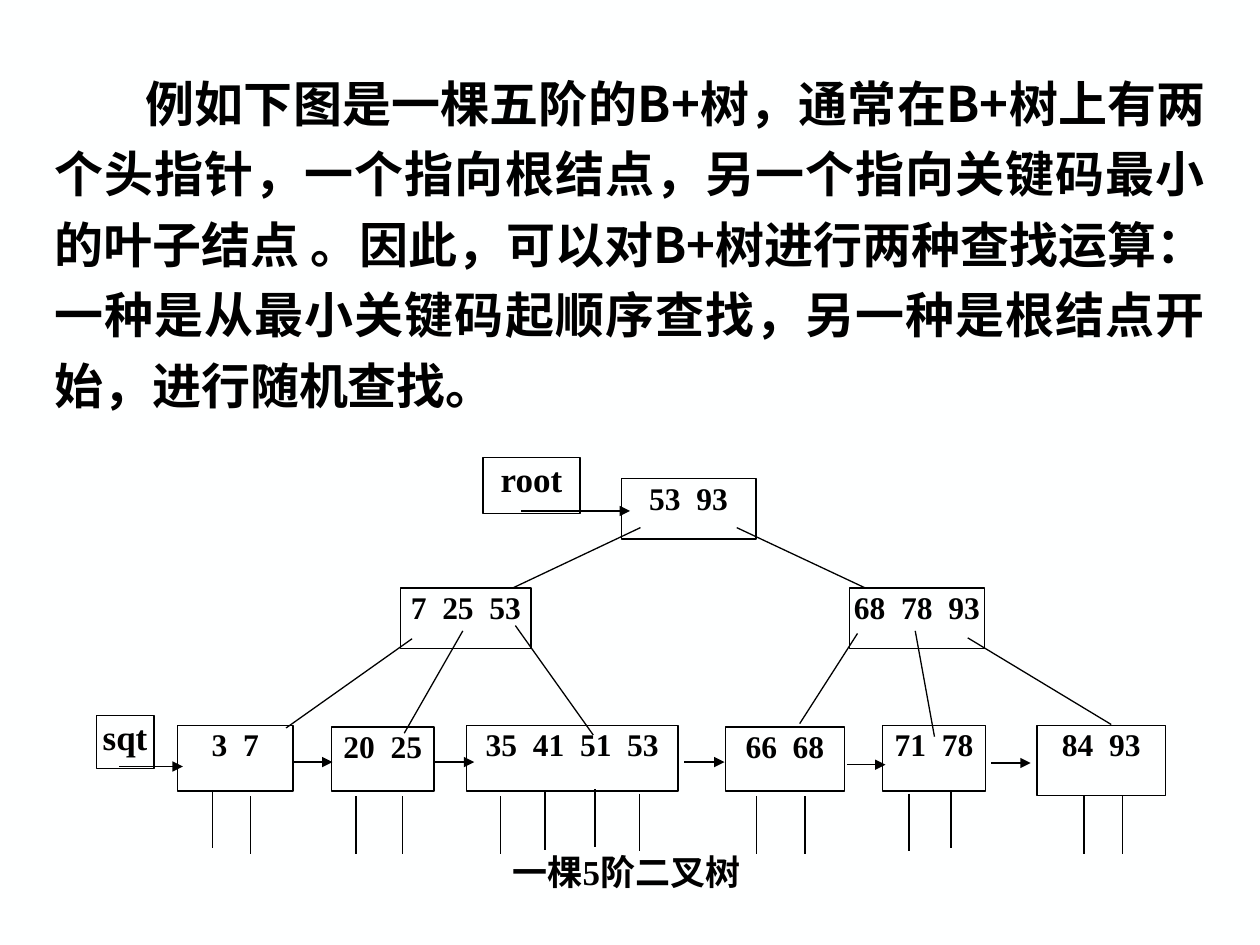
import pptx
import pptx.dml.color
import pptx.enum.shapes
import pptx.enum.text
import pptx.oxml
import pptx.oxml.ns
import pptx.util

Pt = pptx.util.Pt
ALIGN = pptx.enum.text.PP_ALIGN
COLORS = {"paper": "FEFFFF", "ink": "000000"}
SERIF = "Times New Roman"
SANS = "Noto Sans CJK SC"


def rgb(name):
    return pptx.dml.color.RGBColor.from_string(COLORS[name])


def write_text(frame, text, size=18, font=SERIF, align=ALIGN.CENTER,
               spacing=None, indent=0, insets=(0, 0, 0, 0), wrap=True):
    frame.word_wrap = wrap
    frame.vertical_anchor = pptx.enum.text.MSO_ANCHOR.TOP
    (frame.margin_left, frame.margin_top,
     frame.margin_right, frame.margin_bottom) = map(Pt, insets)
    para = frame.paragraphs[0]
    para.alignment = align
    if spacing:
        para.line_spacing = spacing
    if indent:
        para._p.get_or_add_pPr().set("indent", str(Pt(indent)))
    span = para.add_run()
    span.text = text
    span.font.size = Pt(size)
    span.font.bold = True
    span.font.name = font
    span.font.color.rgb = rgb("ink")
    east = pptx.oxml.parse_xml(
        f'<a:ea {pptx.oxml.ns.nsdecls("a")} typeface="{SANS}"/>')
    span.font._element.append(east)


class TreePage:
    line_width = Pt(0.75)
    text_insets = (7.2, 3.6, 7.2, 3.6)

    def __init__(self, deck):
        self.page = deck.slides.add_slide(deck.slide_layouts[6])
        fill = self.page.background.fill
        fill.solid()
        fill.fore_color.rgb = rgb("paper")

    def text(self, text, left, top, width, height, **style):
        box = self.page.shapes.add_textbox(*map(Pt, (left, top, width, height)))
        write_text(box.text_frame, text, insets=self.text_insets, **style)

    def node(self, text, left, top, width, height, **style):
        box = self.page.shapes.add_shape(
            pptx.enum.shapes.MSO_SHAPE.RECTANGLE,
            *map(Pt, (left, top, width, height)))
        box.shadow.inherit = False
        box.fill.background()
        box.line.color.rgb = rgb("ink")
        box.line.width = self.line_width
        write_text(box.text_frame, text, wrap=False, **style)

    def line(self, x1, y1, x2, y2, arrow=False):
        line = self.page.shapes.add_connector(
            pptx.enum.shapes.MSO_CONNECTOR.STRAIGHT,
            *map(Pt, (x1, y1, x2, y2)))
        line.line.color.rgb = rgb("ink")
        line.line.width = self.line_width
        namespace = pptx.oxml.ns.nsdecls("a")
        if arrow:
            line.line._get_or_add_ln().append(pptx.oxml.parse_xml(
                f'<a:tailEnd {namespace} type="triangle"/>'))
        line._element.spPr.append(
            pptx.oxml.parse_xml(f'<a:effectLst {namespace}/>'))


KEY_NODES = [
    ("53  93", 355, 273.5, 77, 34.5),
    ("7  25  53", 229, 336, 74.5, 34.5),
    ("68  78  93", 485.5, 336, 77, 34.5),
    ("3  7", 101.5, 414.5, 66, 37.5),
    ("20  25", 189.5, 415.5, 58.5, 36.5),
    ("35  41  51  53", 266.5, 414.5, 121, 37.5),
    ("66  68", 414.5, 415.5, 68, 36.5),
    ("71  78", 504.5, 414.5, 58.5, 37.5),
    ("84  93", 592.5, 414.5, 73.5, 40),
]
HEAD_POINTERS = [
    ("root", 276, 261.5, 55.5, 32),
    ("sqt", 55, 409, 33, 30),
]
BRANCHES = [
    (366, 301.5, 293, 336), (421, 301.5, 494.5, 336),
    (235.5, 365, 163.5, 416), (264.5, 360.5, 231, 419),
    (294.5, 357.5, 339, 420), (490, 362, 457, 413.5),
    (523, 360.5, 534, 421), (553, 364.5, 635, 414),
]
ARROWS = [
    (298, 360, 292), (68, 104.5, 438), (167, 190, 435.5),
    (248.5, 271, 435.5), (391, 414, 435.5), (484, 506, 437),
    (566.5, 589, 436),
]
RECORD_LINES = [
    (121.5, 451.5), (143, 455), (203.5, 455), (230, 455), (286, 455),
    (311.5, 452.5), (340, 451), (365.5, 453.5), (432.5, 455), (460, 455),
    (519.5, 453.5), (543.5, 451.5), (619.5, 455), (641.5, 455),
]
RECORD_LENGTH = 33


def main():
    deck = pptx.Presentation()
    deck.slide_width, deck.slide_height = Pt(720), Pt(540)
    tree = TreePage(deck)
    for node in KEY_NODES:
        tree.node(*node, insets=(0, 0, 0, 3))
    for pointer in HEAD_POINTERS:
        tree.node(*pointer, size=20)
    for branch in BRANCHES:
        tree.line(*branch)
    for start, end, y in ARROWS:
        tree.line(start, y, end, y, arrow=True)
    for x, top in RECORD_LINES:
        tree.line(x, top, x, top + RECORD_LENGTH)
    tree.text("一棵5阶二叉树", 106, 482.5, 504, 32, size=20)
    tree.text(
        "例如下图是一棵五阶的B+树，通常在B+树上有两个头指针，"
        "一个指向根结点，另一个指向关键码最小的叶子结点 。"
        "因此，可以对B+树进行两种查找运算：一种是从最小关键码起顺序查找，"
        "另一种是根结点开始，进行随机查找。",
        24, 31.5, 672, 209, size=28, font=SANS,
        align=ALIGN.JUSTIFY, spacing=1.2, indent=52)
    deck.save("out.pptx")


if __name__ == "__main__":
    main()
